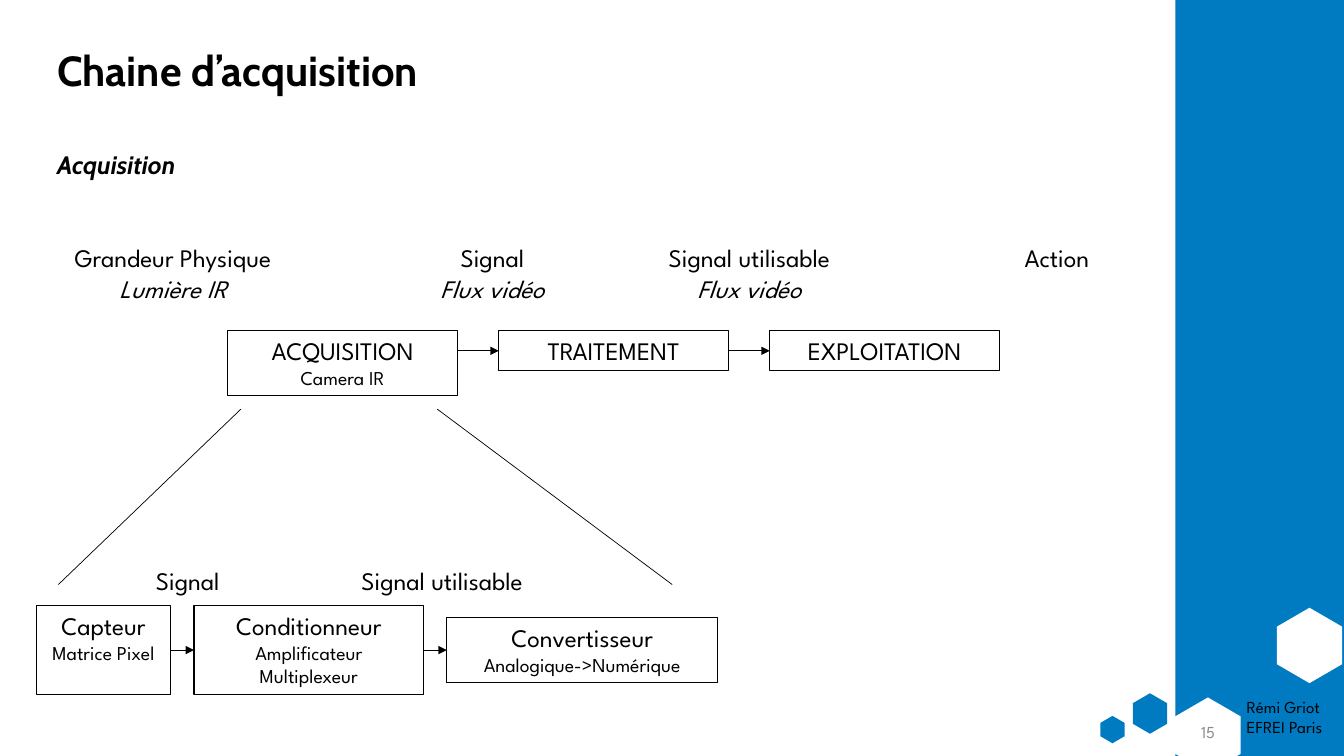
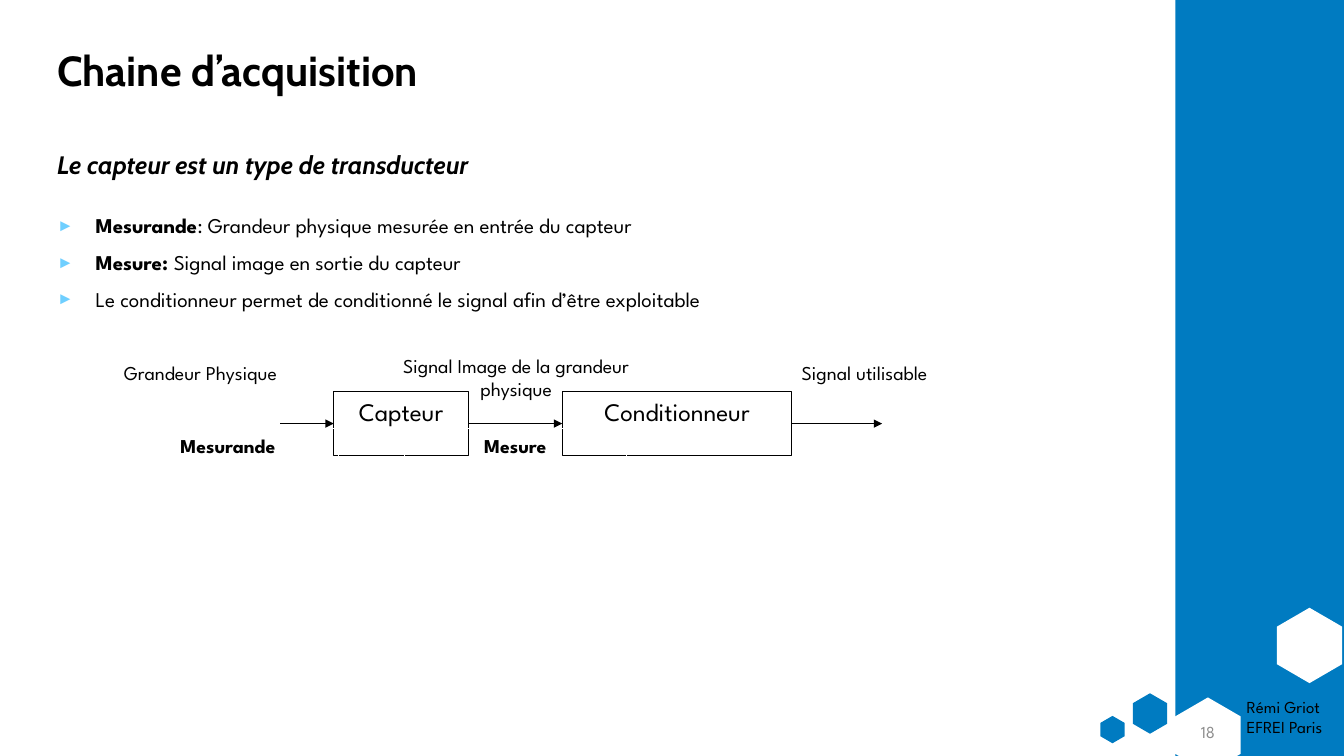
import pptx
import pptx.dml.color
import pptx.enum.shapes
import pptx.enum.text
import pptx.oxml
import pptx.oxml.ns
import pptx.util

Cm = pptx.util.Cm
Pt = pptx.util.Pt
SHAPE = pptx.enum.shapes.MSO_SHAPE
ALIGN = pptx.enum.text.PP_ALIGN
ANCHOR = pptx.enum.text.MSO_ANCHOR

COLOURS = {
    "blue": "007BC1",
    "sky": "6FCFFF",
    "white": "FFFFFF",
    "black": "000000",
    "grey": "8C8C8C",
}
HEADING_FONT = "Cabin"
BODY_FONT = "League Spartan"

SLIDE_WIDTH, SLIDE_HEIGHT = 33.87, 19.05
SIDEBAR_LEFT = 29.62
# Left, top, width, height and fill, before the quarter turn
HEXAGONS = [
    (32.05, 15.44, 1.9, 1.65, "white"),
    (28.47, 17.55, 1.02, 0.86, "blue"),
    (27.69, 18.08, 0.69, 0.61, "blue"),
    (29.49, 17.7, 1.9, 1.65, "white"),
]
SENSOR_WIDTH, STAGE_WIDTH = 3.4, 5.79


def colour(name):
    return pptx.dml.color.RGBColor.from_string(COLOURS[name])


def add_bullet(paragraph, character, colour_name, indent):
    properties = paragraph._p.get_or_add_pPr()
    properties.set("marL", str(Cm(indent)))
    properties.set("indent", str(-Cm(indent)))
    namespace = pptx.oxml.ns.nsdecls("a")
    for xml in (
        f'<a:buClr {namespace}><a:srgbClr val="{COLOURS[colour_name]}"/></a:buClr>',
        f'<a:buSzPct {namespace} val="80000"/>',
        f'<a:buFont {namespace} typeface="Arial"/>',
        f'<a:buChar {namespace} char="{character}"/>',
    ):
        properties.append(pptx.oxml.parse_xml(xml))


def write_text(text_frame, lines, size=18, font=BODY_FONT, text_colour="black",
               bold=False, italic=False, align=ALIGN.LEFT, anchor=ANCHOR.TOP,
               line_spacing=None, space_before=0, bullet=None):
    """Each line is a string or a list of (text, format changes) runs."""
    text_frame.word_wrap = True
    text_frame.vertical_anchor = anchor
    for index, line in enumerate(lines):
        paragraph = text_frame.add_paragraph() if index else text_frame.paragraphs[0]
        if bullet:
            add_bullet(paragraph, bullet, "sky", 0.97)
        paragraph.alignment = align
        if line_spacing:
            paragraph.line_spacing = line_spacing
        if index and space_before:
            paragraph.space_before = Pt(space_before)
        for text, changes in [(line, {})] if isinstance(line, str) else line:
            run = paragraph.add_run()
            run.text = text
            run.font.name = font
            run.font.size = Pt(changes.get("size", size))
            run.font.bold = changes.get("bold", bold)
            run.font.italic = changes.get("italic", italic)
            run.font.color.rgb = colour(text_colour)


def add_label(slide, left, top, width, height, lines, **text_format):
    label = slide.shapes.add_textbox(Cm(left), Cm(top), Cm(width), Cm(height))
    write_text(label.text_frame, lines, **text_format)


def add_shape(slide, preset, left, top, width, height, fill=None, outline=None):
    shape = slide.shapes.add_shape(preset, Cm(left), Cm(top), Cm(width), Cm(height))
    shape.shadow.inherit = False
    if fill:
        shape.fill.solid()
        shape.fill.fore_color.rgb = colour(fill)
    else:
        shape.fill.background()
    if outline:
        shape.line.color.rgb = colour(outline)
        shape.line.width = Pt(0.75)
    else:
        shape.line.fill.background()
    return shape


def add_box(slide, left, top, width, height, lines, outline="black", **text_format):
    box = add_shape(slide, SHAPE.RECTANGLE, left, top, width, height, outline=outline)
    write_text(box.text_frame, lines, align=ALIGN.CENTER, **text_format)


def add_line(slide, start, end, arrow=False):
    line = slide.shapes.add_connector(
        pptx.enum.shapes.MSO_CONNECTOR.STRAIGHT,
        Cm(start[0]), Cm(start[1]), Cm(end[0]), Cm(end[1]))
    line.line.color.rgb = colour("black")
    line.line.width = Pt(0.5)
    namespace = pptx.oxml.ns.nsdecls("a")
    if arrow:
        line.line._get_or_add_ln().append(
            pptx.oxml.parse_xml(f'<a:tailEnd {namespace} type="triangle"/>'))
    line._element.spPr.append(pptx.oxml.parse_xml(f"<a:effectLst {namespace}/>"))


def add_arrow(slide, left, right, y):
    add_line(slide, (left, y), (right, y), arrow=True)


def add_decorated_slide(presentation, subtitle, number):
    slide = presentation.slides.add_slide(presentation.slide_layouts[5])

    # Sidebar and hexagons
    add_shape(slide, SHAPE.RECTANGLE, SIDEBAR_LEFT, 0,
              SLIDE_WIDTH - SIDEBAR_LEFT, SLIDE_HEIGHT, fill="blue")
    for left, top, width, height, fill in HEXAGONS:
        hexagon = add_shape(slide, SHAPE.HEXAGON, left, top, width, height, fill=fill)
        hexagon.rotation = 90
        hexagon.adjustments[0] = 0.29

    # Author and slide number
    add_label(slide, 31.17, 17.42, 2.7, 1.27, ["Rémi Griot", "EFREI Paris"], size=12)
    add_label(slide, SIDEBAR_LEFT, 17.93, 1.65, 1.02, [number], size=12,
              text_colour="grey", align=ALIGN.CENTER, anchor=ANCHOR.MIDDLE)

    # Title and subtitle
    title = slide.shapes.title
    title.left, title.top, title.width, title.height = (
        Cm(1.19), Cm(0), Cm(27.48), Cm(3.68))
    write_text(title.text_frame, ["Chaine d’acquisition"], size=30, font=HEADING_FONT,
               bold=True, anchor=ANCHOR.MIDDLE, line_spacing=0.9)
    add_label(slide, 1.19, 3.73, 22.28, 1.02, [subtitle], font=HEADING_FONT,
              bold=True, italic=True, line_spacing=0.9)
    return slide


def build_acquisition_slide(presentation):
    slide = add_decorated_slide(presentation, "Acquisition", "15")
    small, italic = {"size": 14}, {"italic": True}

    # Quantities above the chain
    for left, width, lines in (
        (0.51, 7.7, ["Grandeur Physique", [("Lumière IR", italic)]]),
        (10.44, 3.94, ["Signal", [("Flux vidéo", italic)]]),
        (15.47, 6.83, ["Signal utilisable", [("Flux vidéo", italic)]]),
        (23.22, 6.83, ["Action"]),
    ):
        add_label(slide, left, 5.99, width, 1.8, lines, align=ALIGN.CENTER)

    # Main chain
    chain_left, chain_top, gap = 5.74, 8.33, 1.04
    stages = [
        (1.63, ["ACQUISITION", [("Camera IR", small)]]),
        (1.02, ["TRAITEMENT"]),
        (1.02, ["EXPLOITATION"]),
    ]
    for index, (height, lines) in enumerate(stages):
        left = chain_left + index * (STAGE_WIDTH + gap)
        add_box(slide, left, chain_top, STAGE_WIDTH, height, lines)
        if index:
            add_arrow(slide, left - gap, left, 8.84)

    # Zoom lines from the acquisition stage to its detail
    add_line(slide, (1.47, 14.73), (6.07, 10.31))
    add_line(slide, (16.94, 14.73), (11.02, 10.31))

    # Detail of the acquisition
    add_label(slide, 3.68, 14.13, 2.41, 1.02, ["Signal"])
    add_label(slide, 8.86, 14.13, 5.51, 1.02, ["Signal utilisable"])
    left, middle, detail_gap = 0.91, 16.38, 0.58
    details = [
        (SENSOR_WIDTH, 2.24, "Capteur", "Matrice Pixel"),
        (STAGE_WIDTH, 2.24, "Conditionneur", "Amplificateur Multiplexeur"),
        (6.83, 1.63, "Convertisseur", "Analogique->Numérique"),
    ]
    for index, (width, height, name, detail) in enumerate(details):
        add_box(slide, left, middle - height / 2, width, height, [name, [(detail, small)]])
        if index:
            add_arrow(slide, left - detail_gap, left, middle)
        left += width + detail_gap


def build_transducer_slide(presentation):
    slide = add_decorated_slide(
        presentation, "Le capteur est un type de transducteur", "18")

    # Definitions
    bold = {"bold": True}
    add_label(slide, 1.19, 5.31, 27.48, 8.31, [
        [("Mesurande", bold), (": Grandeur physique mesurée en entrée du capteur", {})],
        [("Mesure: ", bold), ("Signal image en sortie du capteur", {})],
        "Le conditionneur permet de conditionné le signal afin d’être exploitable",
    ], size=15, line_spacing=0.9, space_before=10, bullet="►")

    # Sensor and conditioner
    sensor_left, conditioner_left, top, height = 8.41, 14.17, 9.86, 1.63
    sensor_right = sensor_left + SENSOR_WIDTH
    conditioner_right = conditioner_left + STAGE_WIDTH
    add_box(slide, sensor_left, top, SENSOR_WIDTH, height, ["Capteur"])
    add_box(slide, conditioner_left, top, STAGE_WIDTH, height, ["Conditionneur"])
    for start, end in ((7.06, sensor_left), (sensor_right, conditioner_left),
                       (conditioner_right, 22.23)):
        add_arrow(slide, start, end, top + height / 2)

    # Labels around the arrows
    add_box(slide, 2.26, 8.97, 5.59, 1.45, ["Grandeur Physique"],
            outline="white", size=14)
    add_label(slide, 9.25, 8.79, 7.52, 1.45, ["Signal Image de la grandeur physique"],
              size=14, align=ALIGN.CENTER)
    add_label(slide, 18.03, 8.97, 7.52, 0.86, ["Signal utilisable"],
              size=14, align=ALIGN.CENTER)
    for left, text in ((2.95, "Mesurande"), (10.19, "Mesure")):
        add_box(slide, left, 10.8, 5.59, 0.86, [text], outline="white",
                size=14, bold=True)


def main():
    presentation = pptx.Presentation()
    presentation.slide_width = Cm(SLIDE_WIDTH)
    presentation.slide_height = Cm(SLIDE_HEIGHT)
    build_acquisition_slide(presentation)
    build_transducer_slide(presentation)
    presentation.save("out.pptx")


if __name__ == "__main__":
    main()
